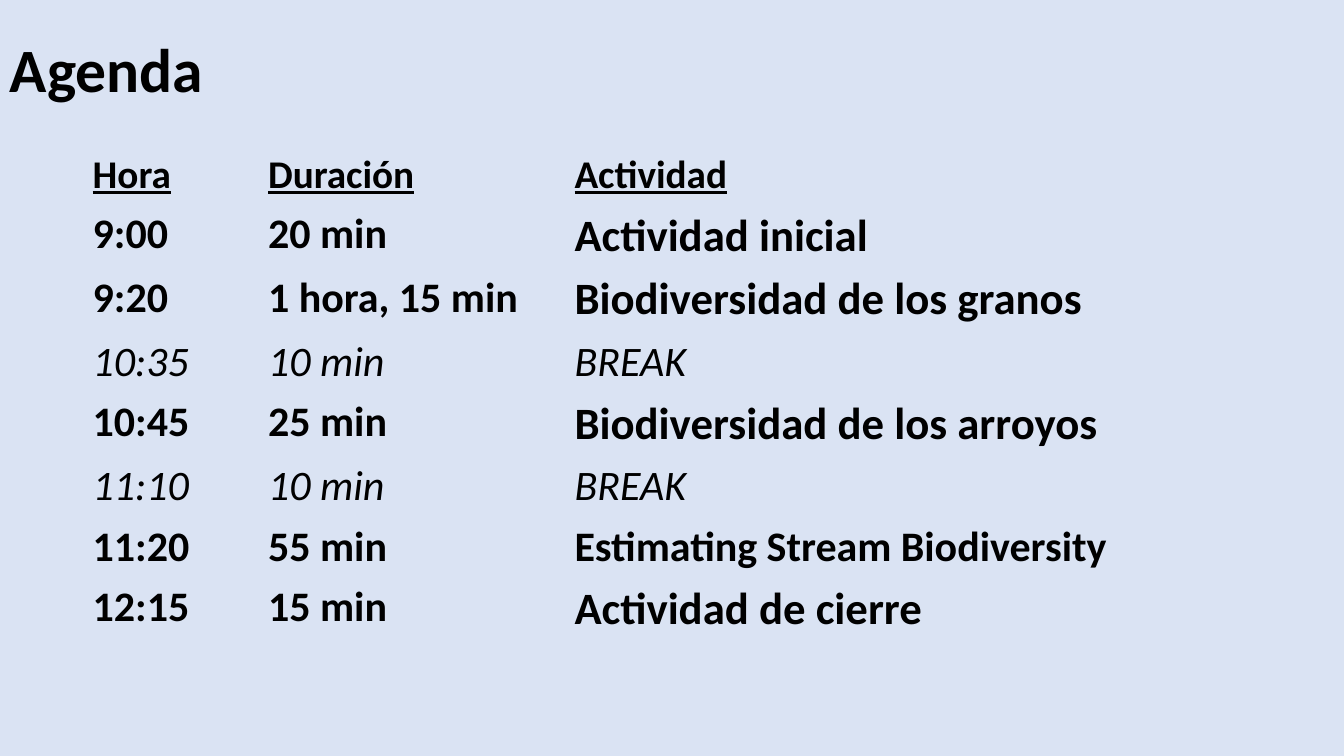
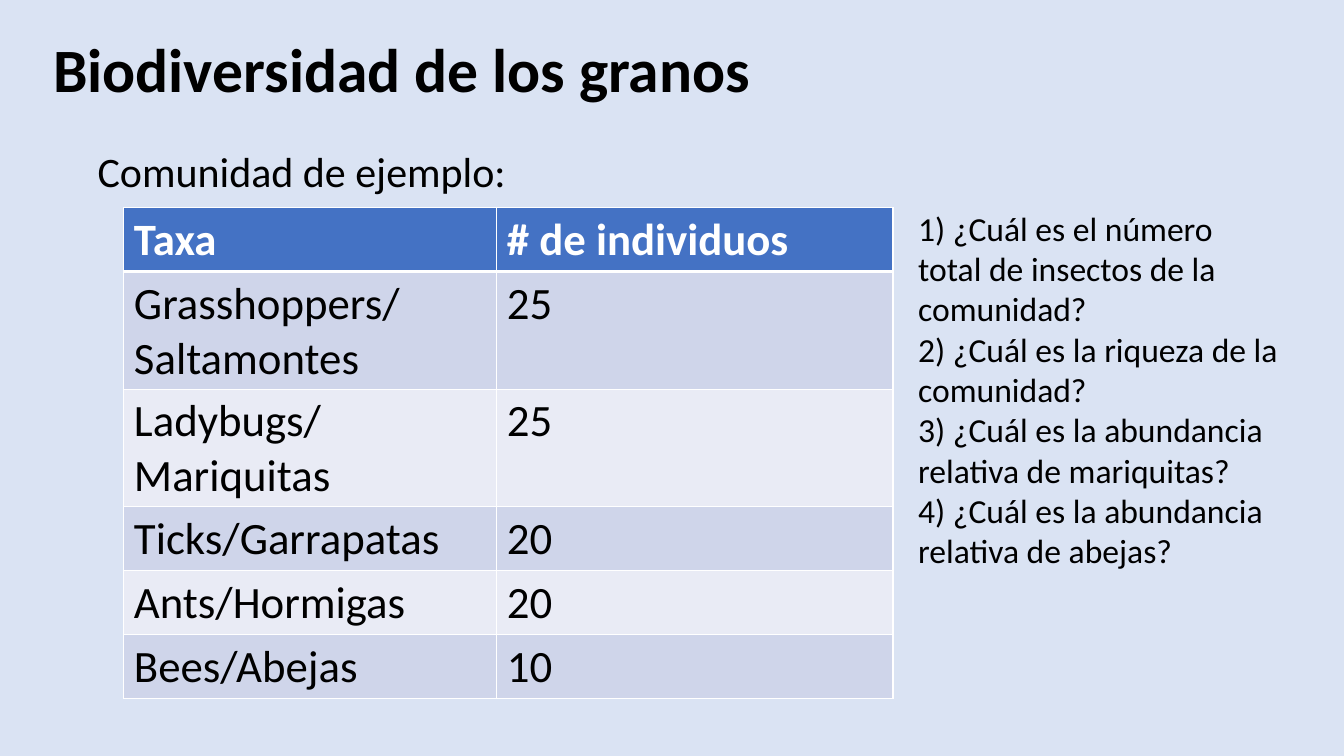
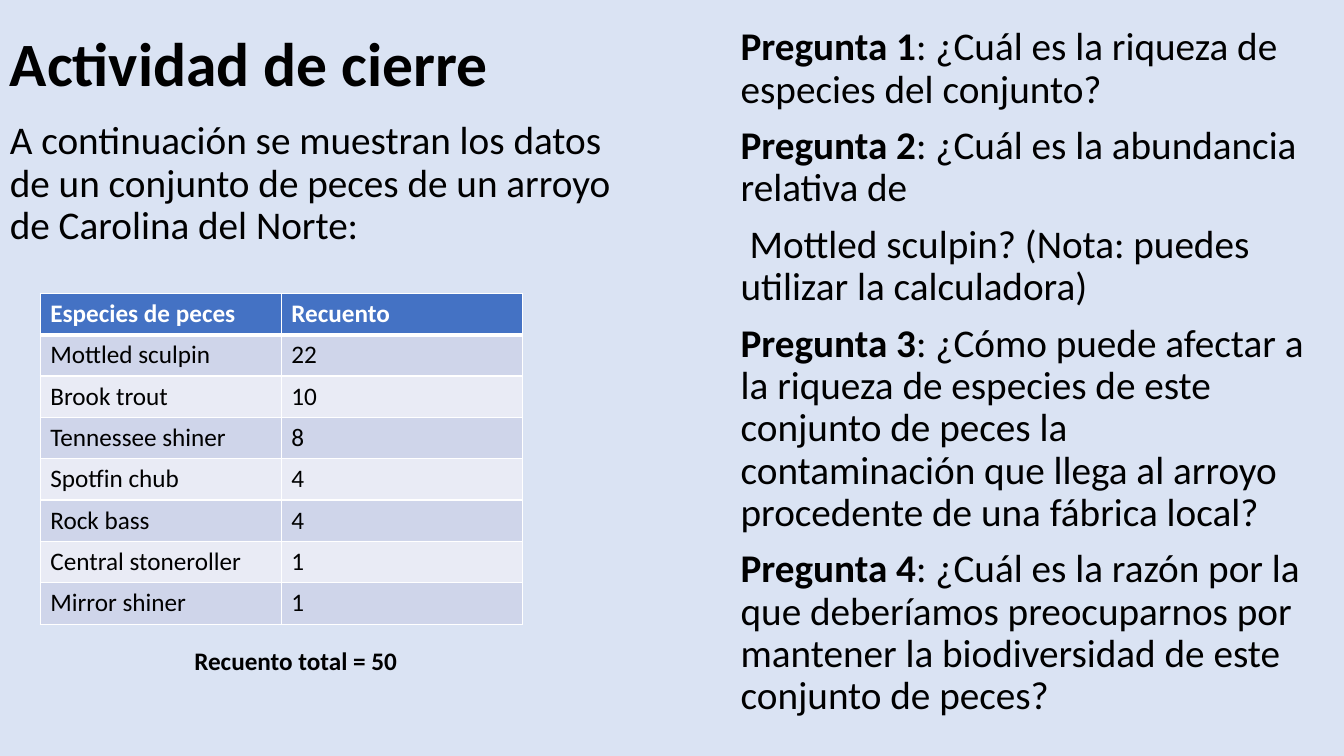
"""Biodiversity lesson: agenda, grain activity and closing activity."""
from lxml.etree import SubElement
from pptx import Presentation
from pptx.dml.color import RGBColor
from pptx.enum.text import MSO_ANCHOR as Anchor
from pptx.oxml.ns import qn
from pptx.util import Inches, Pt

SKY = RGBColor(0xDA, 0xE3, 0xF3)
BLACK = RGBColor(0x00, 0x00, 0x00)
WHITE = RGBColor(0xFF, 0xFF, 0xFF)
BLUE = RGBColor(0x44, 0x72, 0xC4)
BANDS = [RGBColor(0xE9, 0xEB, 0xF5), RGBColor(0xCF, 0xD5, 0xEA)]
FONT = "Calibri"
PLAIN_TABLE = "{2D5ABB26-0587-4C30-8999-92F81FD0307C}"

deck = Presentation()
deck.slide_width, deck.slide_height = Inches(13.333), Inches(7.5)
COLUMN, ROW = deck.slide_width / 100, deck.slide_height / 100
TITLE_WIDTH, TITLE_HEIGHT = 86.25, 19.33
TABLE_ROW = 5.47

background = deck.slide_master.background.fill
background.solid()
background.fore_color.rgb = SKY


def write(frame, text, size, color=BLACK, bold=False, italic=False, underline=False,
          spacing=None, before=None, indent=0):
    """Write one paragraph per line; a part before a bar is bold."""
    for number, line in enumerate(text.split("\n")):
        paragraph = frame.add_paragraph() if number else frame.paragraphs[0]
        paragraph.line_spacing = spacing
        paragraph.space_before = before
        if indent:
            paragraph._p.get_or_add_pPr().set("marL", str(indent))
        lead, _, rest = line.rpartition("|")
        for part, heavy in ((lead, True), (rest, bold)):
            if part:
                run = paragraph.add_run()
                run.text = part
                font = run.font
                font.name, font.size, font.color.rgb = FONT, Pt(size), color
                font.bold, font.italic, font.underline = heavy, italic, underline


def add_grid(slide, left, top, widths, count):
    """Add an unstyled table placed in hundredths of the slide."""
    table = slide.shapes.add_table(
        count, len(widths), int(left * COLUMN), int(top * ROW),
        int(sum(widths) * COLUMN), int(count * TABLE_ROW * ROW)).table
    table._tbl.tblPr.find(qn("a:tableStyleId")).text = PLAIN_TABLE
    for column, width in zip(table.columns, widths):
        column.width = int(width * COLUMN)
    for row in table.rows:
        row.height = int(TABLE_ROW * ROW)
    return table


agenda, grains, closing = [deck.slides.add_slide(deck.slide_layouts[6]) for _ in range(3)]

titles = [
    (agenda, 0, 0, "Agenda"),
    (grains, 3.22, 0, "Biodiversidad de los granos"),
    (closing, 0, -0.8, "Actividad de cierre"),
]
for slide, left, top, title in titles:
    frame = slide.shapes.add_textbox(int(left * COLUMN), int(top * ROW), int(TITLE_WIDTH * COLUMN),
                                     int(TITLE_HEIGHT * ROW)).text_frame
    frame.word_wrap = True
    frame.vertical_anchor = Anchor.MIDDLE
    write(frame, title, 44, bold=True, spacing=0.9)

grain_questions = """1) ¿Cuál es el número total de insectos de la comunidad?
2) ¿Cuál es la riqueza de la comunidad?
3) ¿Cuál es la abundancia relativa de mariquitas?
4) ¿Cuál es la abundancia relativa de abejas?"""
fish_intro = ("A continuación se muestran los datos de un conjunto de peces "
              "de un arroyo de Carolina del Norte:")
fish_questions = "\n".join([
    "Pregunta 1|: ¿Cuál es la riqueza de especies del conjunto?",
    "Pregunta 2|: ¿Cuál es la abundancia relativa de",
    " Mottled sculpin? (Nota: puedes utilizar la calculadora)",
    "Pregunta 3|: ¿Cómo puede afectar a la riqueza de especies de este conjunto de peces "
    "la contaminación que llega al arroyo procedente de una fábrica local?",
    "Pregunta 4|: ¿Cuál es la razón por la que deberíamos preocuparnos por mantener "
    "la biodiversidad de este conjunto de peces?",
])
body = dict(spacing=0.9, before=Pt(10))
passages = [
    (grains, (6.52, 19.33, 83.03, 8.13), True, "Comunidad de ejemplo:", dict(size=30, **body)),
    (grains, (67.58, 26.8, 28.35, 49.87), True, grain_questions, dict(size=24)),
    (closing, (0, 15.33, 48.22, 69.33), True, fish_intro, dict(size=28, **body)),
    (closing, (52.5, 2.93, 45.68, 94.27), True, fish_questions,
     dict(size=28, indent=Inches(0.25), **body)),
    (closing, (13.72, 84.67, 17.18, 5.33), False, "Recuento total = 50", dict(size=18, bold=True)),
]
for slide, (left, top, width, height), wrap, text, style in passages:
    frame = slide.shapes.add_textbox(int(left * COLUMN), int(top * ROW),
                                     int(width * COLUMN), int(height * ROW)).text_frame
    frame.word_wrap = wrap
    write(frame, text, **style)

HEADING = dict(size=28, bold=True, underline=True)
SESSION = dict(size=30, bold=True)
BREAK = dict(size=30, italic=True)
schedule = [
    ("Hora", "Duración", "Actividad", HEADING, 28),
    ("9:00", "20 min", "Actividad inicial", SESSION, 32),
    ("9:20", "1 hora, 15 min", "Biodiversidad de los granos", SESSION, 32),
    ("10:35", "10 min", "BREAK", BREAK, 30),
    ("10:45", "25 min", "Biodiversidad de los arroyos", SESSION, 32),
    ("11:10", "10 min", "BREAK", BREAK, 30),
    ("11:20", "55 min", "Estimating Stream Biodiversity", SESSION, 30),
    ("12:15", "15 min", "Actividad de cierre", SESSION, 32),
]
timetable = add_grid(agenda, 6.15, 19.33, (13.05, 22.8, 50.48), len(schedule))
for row, (hour, duration, activity, style, activity_size) in enumerate(schedule):
    write(timetable.cell(row, 0).text_frame, hour, **style)
    write(timetable.cell(row, 1).text_frame, duration, **style)
    write(timetable.cell(row, 2).text_frame, activity, **{**style, "size": activity_size})

insects = [
    ("Taxa", "# de individuos"),
    ("Grasshoppers/\nSaltamontes", "25"),
    ("Ladybugs/\nMariquitas", "25"),
    ("Ticks/Garrapatas", "20"),
    ("Ants/Hormigas", "20"),
    ("Bees/Abejas", "10"),
]
fish = [
    ("Especies de peces", "Recuento"),
    ("Mottled sculpin", "22"),
    ("Brook trout", "10"),
    ("Tennessee shiner", "8"),
    ("Spotfin chub", "4"),
    ("Rock bass", "4"),
    ("Central stoneroller", "1"),
    ("Mirror shiner", "1"),
]
counts = [
    (grains, 9.22, 27.47, (27.75, 29.48), insects, 32),
    (closing, 3, 38.8, (17.93, 17.93), fish, 18),
]
for slide, left, top, widths, records, size in counts:
    table = add_grid(slide, left, top, widths, len(records))
    for row, record in enumerate(records):
        for column, text in enumerate(record):
            cell = table.cell(row, column)
            properties = cell._tc.get_or_add_tcPr()
            for side in "LRTB":
                thick = (row, side) in ((0, "B"), (1, "T"))
                border = SubElement(properties, qn(f"a:ln{side}"), w=str(Pt(3 if thick else 1)))
                SubElement(SubElement(border, qn("a:solidFill")), qn("a:srgbClr"), val=str(WHITE))
            cell.fill.solid()
            cell.fill.fore_color.rgb = BANDS[row % 2] if row else BLUE
            write(cell.text_frame, text, size, color=BLACK if row else WHITE, bold=row == 0)

deck.save("out.pptx")
